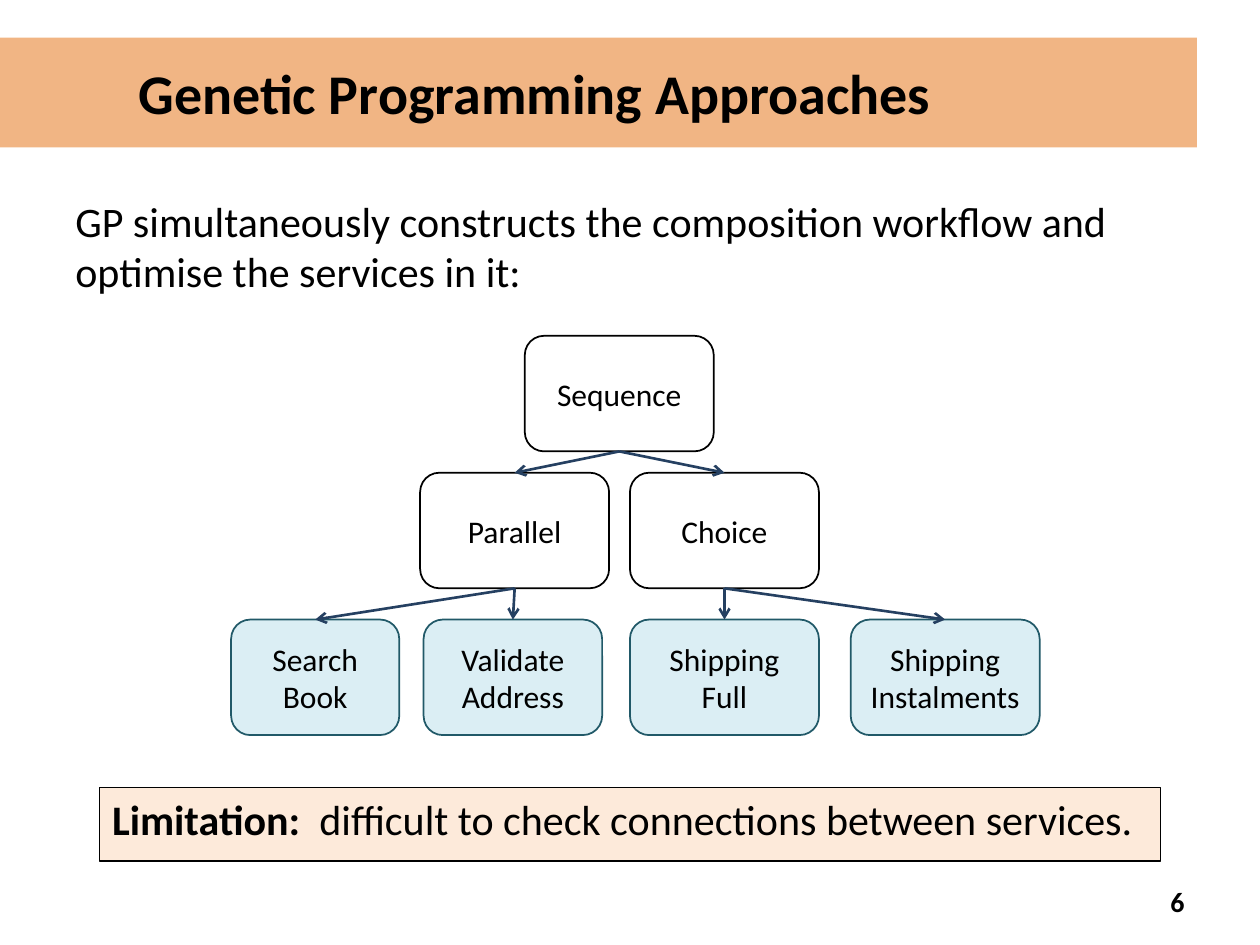
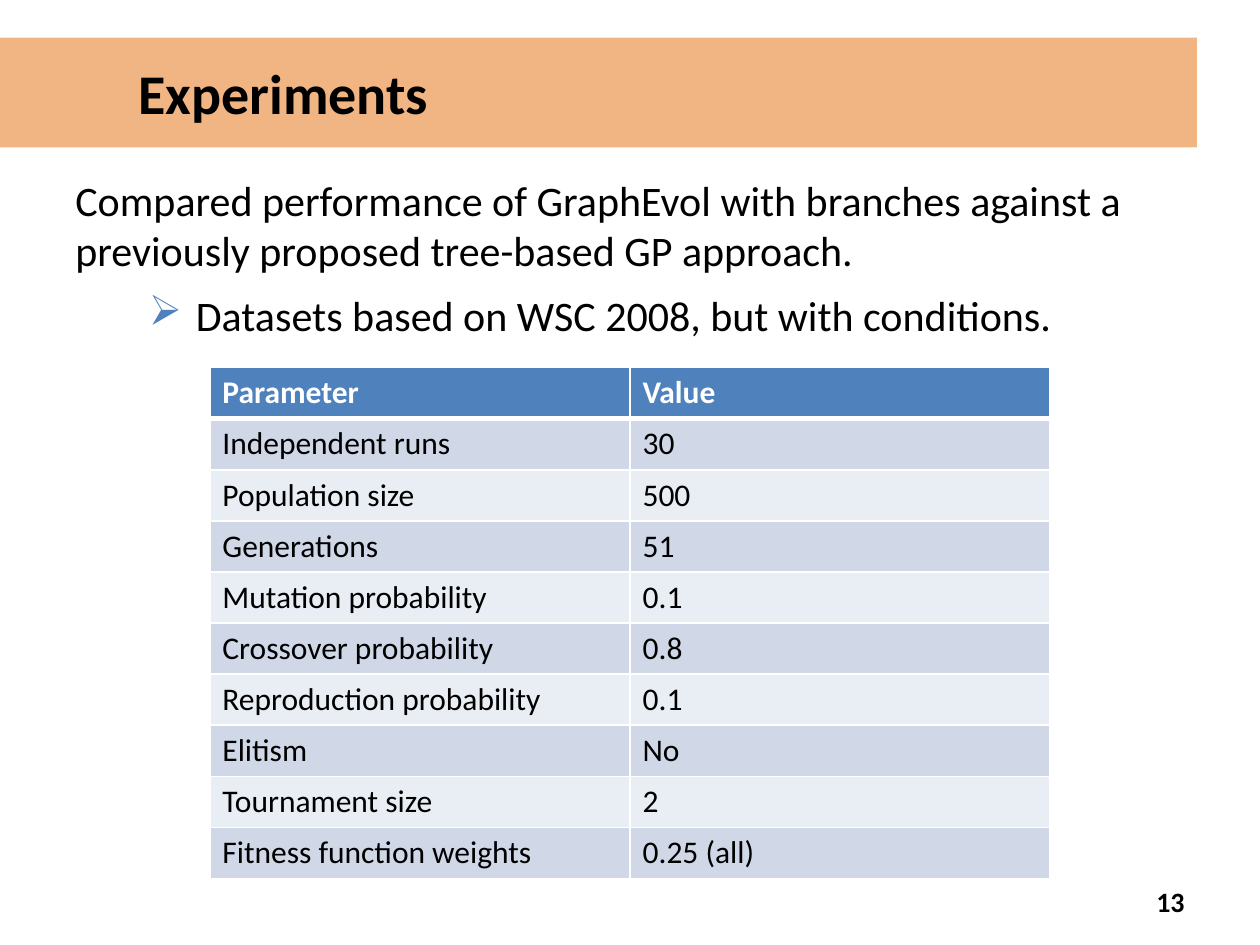
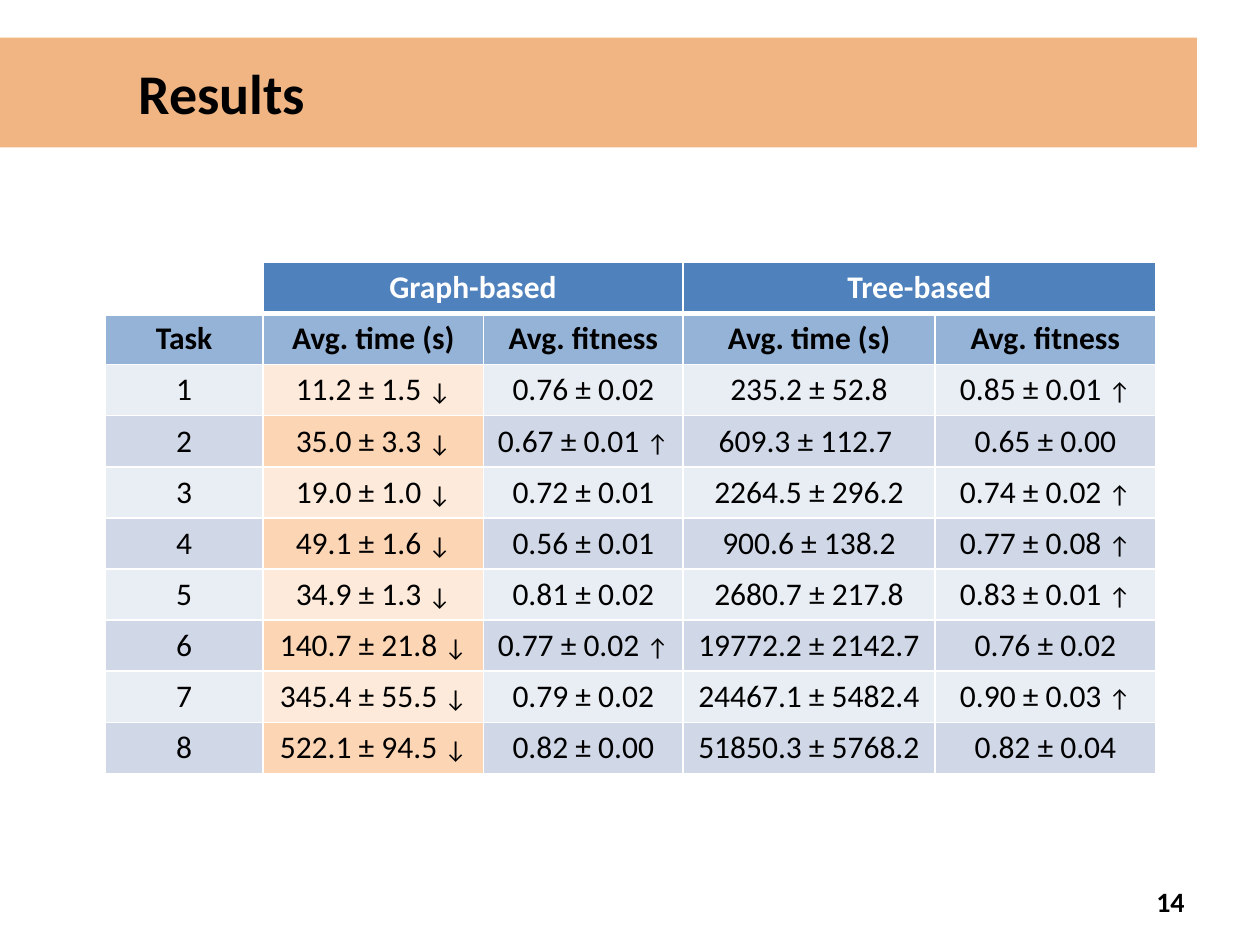
import dataclasses
import typing

import pptx
import pptx.dml.color
import pptx.enum.shapes
import pptx.enum.text
import pptx.oxml
import pptx.oxml.ns
import pptx.presentation
import pptx.slide
import pptx.text.text
import pptx.util

Cm = pptx.util.Cm
Pt = pptx.util.Pt
RGBColor = pptx.dml.color.RGBColor
Align = pptx.enum.text.PP_ALIGN
Anchor = pptx.enum.text.MSO_ANCHOR
Kind = pptx.enum.shapes.MSO_SHAPE

# Shared look
FONT = "Calibri"
BLACK = RGBColor(0x00, 0x00, 0x00)
WHITE = RGBColor(0xFF, 0xFF, 0xFF)
ORANGE = RGBColor(0xE4, 0x6C, 0x0A)
PEACH = RGBColor(0xFD, 0xEA, 0xDA)
APRICOT = RGBColor(0xFC, 0xD5, 0xB5)
BLUE = RGBColor(0x4F, 0x81, 0xBD)
SKY = RGBColor(0x95, 0xB3, 0xD7)
NAVY = RGBColor(0x25, 0x40, 0x61)
AQUA = RGBColor(0xDB, 0xEE, 0xF4)
TEAL = RGBColor(0x21, 0x59, 0x68)
LIGHT = RGBColor(0xE9, 0xED, 0xF4)
DARK = RGBColor(0xD0, 0xD8, 0xE8)
NS = 'xmlns:a="http://schemas.openxmlformats.org/drawingml/2006/main"'


@dataclasses.dataclass(frozen=True)
class Area:
    left: float
    top: float
    width: float
    height: float

    def lengths(self) -> tuple[pptx.util.Length, ...]:
        return tuple(Cm(size) for size in dataclasses.astuple(self))


@dataclasses.dataclass(frozen=True)
class Node:
    label: str
    left: float
    width: float
    level: int
    parent: str = ""
    leaf: bool = False


@dataclasses.dataclass(frozen=True)
class Grid:
    left: float
    top: float
    widths: list[float]
    rows: list[list[str]]
    align: Align
    shade: typing.Callable[[int, int], RGBColor | None]
    heads: int = 1


BAND = Area(0, 0.76, 24.13, 2.21)
FOOT = Area(18.21, 17.65, 5.92, 1.02)

# Workflow tree
NODE_TOPS = [6.77, 9.53, 12.49]
NODE_HEIGHT = 2.33
NODES = [
    Node("Sequence", 10.58, 3.81, 0),
    Node("Parallel", 8.47, 3.81, 1, "Sequence"),
    Node("Choice", 12.7, 3.81, 1, "Sequence"),
    Node("Search\nBook", 4.66, 3.39, 2, "Parallel", True),
    Node("Validate\nAddress", 8.54, 3.6, 2, "Parallel", True),
    Node("Shipping\nFull", 12.7, 3.81, 2, "Choice", True),
    Node("Shipping\nInstalments", 17.15, 3.81, 2, "Choice", True),
]

# Table contents
ROW_HEIGHT = 1.03
SETUP = [
    ["Parameter", "Value"],
    ["Independent runs", "30"],
    ["Population size", "500"],
    ["Generations", "51"],
    ["Mutation probability", "0.1"],
    ["Crossover probability", "0.8"],
    ["Reproduction probability", "0.1"],
    ["Elitism", "No"],
    ["Tournament size", "2"],
    ["Fitness function weights", "0.25 (all)"],
]
SCORES = [
    ["", "Graph-based", "", "Tree-based", ""],
    ["Task"] + ["Avg. time (s)", "Avg. fitness"] * 2,
    ["1", "11.2 ± 1.5 ↓", "0.76 ± 0.02", "235.2 ± 52.8", "0.85 ± 0.01 ↑"],
    ["2", "35.0 ± 3.3 ↓", "0.67 ± 0.01 ↑", "609.3 ± 112.7 ", "0.65 ± 0.00"],
    ["3", "19.0 ± 1.0 ↓", "0.72 ± 0.01", "2264.5 ± 296.2", "0.74 ± 0.02 ↑"],
    ["4", "49.1 ± 1.6 ↓", "0.56 ± 0.01", "900.6 ± 138.2", "0.77 ± 0.08 ↑"],
    ["5", "34.9 ± 1.3 ↓", "0.81 ± 0.02", "2680.7 ± 217.8", "0.83 ± 0.01 ↑"],
    ["6", "140.7 ± 21.8 ↓", "0.77 ± 0.02 ↑", "19772.2 ± 2142.7", "0.76 ± 0.02"],
    ["7", "345.4 ± 55.5 ↓", "0.79 ± 0.02", "24467.1 ± 5482.4", "0.90 ± 0.03 ↑"],
    ["8", "522.1 ± 94.5 ↓", "0.82 ± 0.00", "51850.3 ± 5768.2", "0.82 ± 0.04"],
]


# Text helpers
def style(frame: pptx.text.text.TextFrame, size: float, bold: bool = False,
          color: RGBColor = BLACK, align: Align = Align.LEFT) -> None:
    for par in frame.paragraphs:
        par.alignment = align
        for run in par.runs:
            run.font.name = FONT
            run.font.size = Pt(size)
            run.font.bold = bold
            run.font.color.rgb = color


def add_text(slide: pptx.slide.Slide, area: Area, text: str) -> pptx.text.text.TextFrame:
    frame = slide.shapes.add_textbox(*area.lengths()).text_frame
    frame.word_wrap = True
    frame.text = text
    frame.paragraphs[0].space_before = Pt(4.8)
    style(frame, 24)
    return frame


def add_bullet(par: pptx.text.text._Paragraph) -> None:
    props = par._p.get_or_add_pPr()
    props.set("marL", str(Cm(0.95)))
    props.set("indent", str(Cm(-0.95)))
    for xml in (f'<a:buClr {NS}><a:srgbClr val="{BLUE}"/></a:buClr>',
                f'<a:buChar {NS} char="➢"/>'):
        props.append(pptx.oxml.parse_xml(xml))


# Slide frame: title band and page number
def add_slide(deck: pptx.presentation.Presentation, title: str, page: int) -> pptx.slide.Slide:
    slide = deck.slides.add_slide(deck.slide_layouts[5])
    band = slide.shapes.title
    band.left, band.top, band.width, band.height = BAND.lengths()
    band.fill.solid()
    band.fill.fore_color.rgb = ORANGE
    tint = band._element.spPr.find(".//" + pptx.oxml.ns.qn("a:srgbClr"))
    tint.append(pptx.oxml.parse_xml(f'<a:alpha {NS} val="50000"/>'))
    frame = band.text_frame
    frame.text = title
    frame.auto_size = pptx.enum.text.MSO_AUTO_SIZE.NONE
    frame.vertical_anchor = Anchor.MIDDLE
    frame.margin_left = Cm(2.79)
    style(frame, 32, bold=True)

    foot = add_text(slide, FOOT, str(page))
    foot.vertical_anchor = Anchor.MIDDLE
    foot.paragraphs[0].space_before = Pt(0)
    style(foot, 16, bold=True, align=Align.RIGHT)
    return slide


# Shapes and arrows
def add_box(slide: pptx.slide.Slide, kind: Kind, area: Area, fill: RGBColor,
            line: RGBColor, weight: float):
    box = slide.shapes.add_shape(kind, *area.lengths())
    box.shadow.inherit = False
    box.fill.solid()
    box.fill.fore_color.rgb = fill
    box.line.color.rgb = line
    box.line.width = Pt(weight)
    return box


def add_arrow(slide: pptx.slide.Slide, start, end) -> None:
    arrow = slide.shapes.add_connector(pptx.enum.shapes.MSO_CONNECTOR.STRAIGHT, 0, 0, 0, 0)
    arrow.begin_connect(start, 2)
    arrow.end_connect(end, 0)
    arrow.line.color.rgb = NAVY
    arrow.line.width = Pt(1.5)
    arrow.line._get_or_add_ln().append(
        pptx.oxml.parse_xml(f'<a:tailEnd {NS} type="arrow"/>'))
    arrow._element.spPr.append(pptx.oxml.parse_xml(f"<a:effectLst {NS}/>"))


def add_tree(slide: pptx.slide.Slide) -> None:
    boxes = {}
    for node in NODES:
        area = Area(node.left, NODE_TOPS[node.level], node.width, NODE_HEIGHT)
        fill, line = (AQUA, TEAL) if node.leaf else (WHITE, BLACK)
        box = add_box(slide, Kind.ROUNDED_RECTANGLE, area, fill, line, 1)
        box.text_frame.text = node.label
        box.text_frame.vertical_anchor = Anchor.MIDDLE
        style(box.text_frame, 18, align=Align.CENTER)
        boxes[node.label] = box
    for node in NODES:
        if node.parent:
            add_arrow(slide, boxes[node.parent], boxes[node.label])


# Tables
def add_edges(cell, row: int) -> None:
    props = cell._tc.get_or_add_tcPr()
    for side in "LRTB":
        thick = (row, side) in ((0, "B"), (1, "T"))
        props.append(pptx.oxml.parse_xml(
            f'<a:ln{side} {NS} w="{Pt(3 if thick else 1)}"><a:solidFill>'
            f'<a:srgbClr val="{WHITE}"/></a:solidFill></a:ln{side}>'))


def fill_cell(cell, text: str) -> None:
    value = text.rstrip("↑↓")
    par = cell.text_frame.paragraphs[0]
    for part in filter(None, (value, text[len(value):])):
        par.add_run().text = part


def add_grid(slide: pptx.slide.Slide, grid: Grid):
    area = Area(grid.left, grid.top, sum(grid.widths), ROW_HEIGHT * len(grid.rows))
    table = slide.shapes.add_table(len(grid.rows), len(grid.widths), *area.lengths()).table
    for column, width in zip(table.columns, grid.widths):
        column.width = Cm(width)
    for r, texts in enumerate(grid.rows):
        table.rows[r].height = Cm(ROW_HEIGHT)
        for c, text in enumerate(texts):
            cell = table.cell(r, c)
            add_edges(cell, r)
            color = grid.shade(r, c)
            if color is None:
                cell.fill.background()
            else:
                cell.fill.solid()
                cell.fill.fore_color.rgb = color
            fill_cell(cell, text)
            style(cell.text_frame, 18, r < grid.heads, BLACK if r else WHITE, grid.align)
            for run in cell.text_frame.paragraphs[0].runs:
                if run.text in "↑↓":
                    run.font.size = Pt(14)
    return table


def shade_setup(row: int, col: int) -> RGBColor:
    if row == 0:
        return BLUE
    return DARK if row % 2 else LIGHT


def shade_scores(row: int, col: int) -> RGBColor | None:
    if row == 0:
        return BLUE if col else None
    if row == 1:
        return SKY
    if col == 1:
        return APRICOT if row % 2 else PEACH
    return shade_setup(row, col)


# Slides
def draw_tree(deck: pptx.presentation.Presentation) -> None:
    slide = add_slide(deck, "Genetic Programming Approaches", 6)
    add_text(slide, Area(1.27, 3.81, 22.86, 2.54),
             "GP simultaneously constructs the composition workflow and "
             "optimise the services in it:")
    add_tree(slide)
    note = add_box(slide, Kind.RECTANGLE, Area(2.01, 15.88, 21.39, 1.48), PEACH, BLACK, 0.75)
    frame = note.text_frame
    frame.vertical_anchor = Anchor.TOP
    par = frame.paragraphs[0]
    par.space_before = Pt(4.8)
    for part in ("Limitation: ", " difficult to check connections between services."):
        par.add_run().text = part
    style(frame, 24)
    par.runs[0].font.bold = True


def draw_setup(deck: pptx.presentation.Presentation) -> None:
    slide = add_slide(deck, "Experiments", 13)
    add_text(slide, Area(1.27, 3.39, 22.86, 2.96),
             "Compared performance of GraphEvol with branches against a "
             "previously proposed tree-based GP approach.")
    point = add_text(slide, Area(2.75, 5.72, 18.84, 1.48),
                     "Datasets based on WSC 2008, but with conditions.")
    add_bullet(point.paragraphs[0])
    add_grid(slide, Grid(4.23, 7.41, [8.47] * 2, SETUP, Align.LEFT, shade_setup))


def draw_scores(deck: pptx.presentation.Presentation) -> None:
    slide = add_slide(deck, "Results", 14)
    table = add_grid(slide, Grid(2.12, 5.29, [3.18, 4.45, 4.02, 5.08, 4.45], SCORES,
                                 Align.CENTER, shade_scores, heads=2))
    for col in (1, 3):
        table.cell(0, col).merge(table.cell(0, col + 1))


def main() -> None:
    deck = pptx.Presentation()
    deck.slide_width, deck.slide_height = Cm(25.4), Cm(19.05)
    for draw in (draw_tree, draw_setup, draw_scores):
        draw(deck)
    deck.save("out.pptx")


if __name__ == "__main__":
    main()
